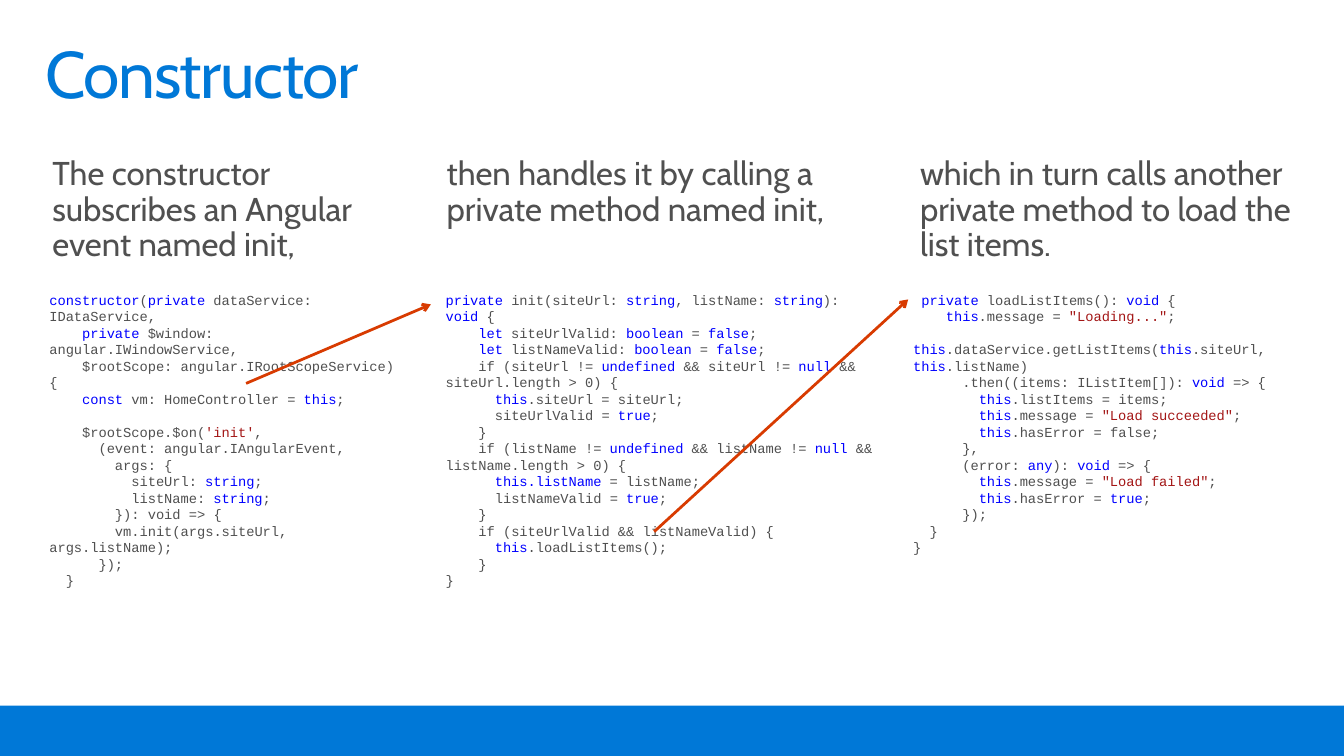
from dataclasses import dataclass

from lxml.etree import SubElement
from pptx import Presentation
from pptx.dml.color import RGBColor
from pptx.enum.shapes import MSO_CONNECTOR as Connector, MSO_SHAPE as Shape
from pptx.enum.text import MSO_ANCHOR as Anchor
from pptx.oxml.ns import qn
from pptx.util import Emu, Pt

PX = 9144
COLORS = {
    "blue": "0078D7",
    "text": "505050",
    "keyword": "0000FF",
    "string": "A31515",
    "arrow": "D83B01",
}
HEADING_FONT = "Cabin"
CODE_FONT = "Courier New"
CODE_TOP = 279
HEADING_TOP = 149

CONSTRUCTOR_CODE = """\
|constructor|(|private |dataService: IDataService,
    |private| $window: angular.IWindowService,
    $rootScope: angular.IRootScopeService) {
    |const |vm: HomeController = |this|;

    $rootScope.$on(|'init'|,
      (event: angular.IAngularEvent,
        args: {
          siteUrl: |string|;
          listName: |string|;
        }): void => {
        vm.init(args.siteUrl, args.listName);
      });
  }"""

INIT_CODE = """\
|private |init(siteUrl: |string|, listName: |string|): |void| {
    |let |siteUrlValid: |boolean| = |false|;
    |let |listNameValid: |boolean| = |false|;
    if (siteUrl != |undefined| && siteUrl != |null| && siteUrl.length > 0) {
      |this|.siteUrl = siteUrl;
      siteUrlValid = |true|;
    }
    if (listName != |undefined| && listName != |null| && listName.length > 0) {
      |this.listName| = listName;
      listNameValid = |true|;
    }
    if (siteUrlValid && listNameValid) {
      |this|.loadListItems();
    }
}"""

LOAD_CODE = """\
| private |loadListItems(): |void| {
    |this|.message = |"Loading..."|;
    |this|.dataService.getListItems(|this|.siteUrl, |this|.listName)
      .then((items: IListItem[]): |void| => {
        |this|.listItems = items;
        |this|.message = |"Load succeeded"|;
        |this|.hasError = false;
      },
      (error: |any|): |void| => {
        |this|.message = |"Load failed"|;
        |this|.hasError = |true|;
      });
  }
}"""


@dataclass(frozen=True)
class Box:
    left: int
    top: int
    width: int
    height: int


@dataclass(frozen=True)
class Step:
    heading: str
    heading_box: Box
    code: str
    code_box: Box


@dataclass(frozen=True)
class Arrow:
    start: tuple[int, int]
    end: tuple[int, int]


STEPS = (
    Step("The constructor subscribes an Angular event named init,",
         Box(37, HEADING_TOP, 394, 129),
         CONSTRUCTOR_CODE, Box(30, CODE_TOP, 394, 268)),
    Step("then handles it by calling a private method named init,",
         Box(436, HEADING_TOP, 439, 93),
         INIT_CODE, Box(431, CODE_TOP, 473, 318)),
    Step("which in turn calls another private method to load the list items.",
         Box(915, HEADING_TOP, 445, 129),
         LOAD_CODE, Box(904, CODE_TOP, 402, 285)),
)
ARROWS = (
    Arrow((249, 388), (436, 308)),
    Arrow((662, 538), (919, 303)),
)


def px(length: int) -> Emu:
    return Emu(length * PX)


def color(name: str) -> RGBColor:
    return RGBColor.from_string(COLORS[name])


def add_frame(page, box: Box, inset_x: int, inset_y: int):
    shape = page.shapes.add_textbox(px(box.left), px(box.top), px(box.width), px(box.height))
    frame = shape.text_frame
    frame.word_wrap = True
    frame.vertical_anchor = Anchor.TOP
    frame.margin_left = frame.margin_right = px(inset_x)
    frame.margin_top = frame.margin_bottom = px(inset_y)
    return frame


def add_span(para, text: str, font: str, size: int, fill: str):
    span = para.add_run()
    span.text = text
    span.font.name = font
    span.font.size = Pt(size)
    span.font.color.rgb = color(fill)
    return span


def add_heading(page, text: str, box: Box, size: int, fill: str):
    para = add_frame(page, box, 16, 10).paragraphs[0]
    para.line_spacing = 0.9
    return add_span(para, text, HEADING_FONT, size, fill)


def add_code(page, code: str, box: Box) -> None:
    frame = add_frame(page, box, 20, 16)
    for number, line in enumerate(code.splitlines()):
        para = frame.add_paragraph() if number else frame.paragraphs[0]
        para.font.size = Pt(10)
        para.font.name = CODE_FONT
        for index, text in enumerate(line.split("|")):
            if index % 2 == 0:
                fill = "text"
            else:
                fill = "string" if text[0] in "'\"" else "keyword"
            if text or not line:
                add_span(para, text, CODE_FONT, 10, fill)


def add_arrow(page, arrow: Arrow) -> None:
    line = page.shapes.add_connector(
        Connector.STRAIGHT, *map(px, arrow.start), *map(px, arrow.end))
    line.line.color.rgb = color("arrow")
    line.line.width = Pt(2)
    SubElement(line.line._get_or_add_ln(), qn("a:tailEnd"), type="arrow")
    SubElement(line._element.spPr, qn("a:effectLst"))


def add_footer(page) -> None:
    footer = page.shapes.add_shape(Shape.RECTANGLE, px(0), px(714), px(1360), px(51))
    footer.shadow.inherit = False
    footer.fill.solid()
    footer.fill.fore_color.rgb = color("blue")
    footer.line.fill.background()


def main() -> None:
    deck = Presentation()
    deck.slide_width, deck.slide_height = px(1360), px(765)
    page = deck.slides.add_slide(deck.slide_layouts[6])
    add_footer(page)
    title = add_heading(page, "Constructor", Box(30, 32, 1300, 100), 48, "blue")
    title.font._element.set("spc", "-100")
    for step in STEPS:
        add_heading(page, step.heading, step.heading_box, 24, "text")
        add_code(page, step.code, step.code_box)
    for arrow in ARROWS:
        add_arrow(page, arrow)
    deck.save("out.pptx")


if __name__ == "__main__":
    main()
